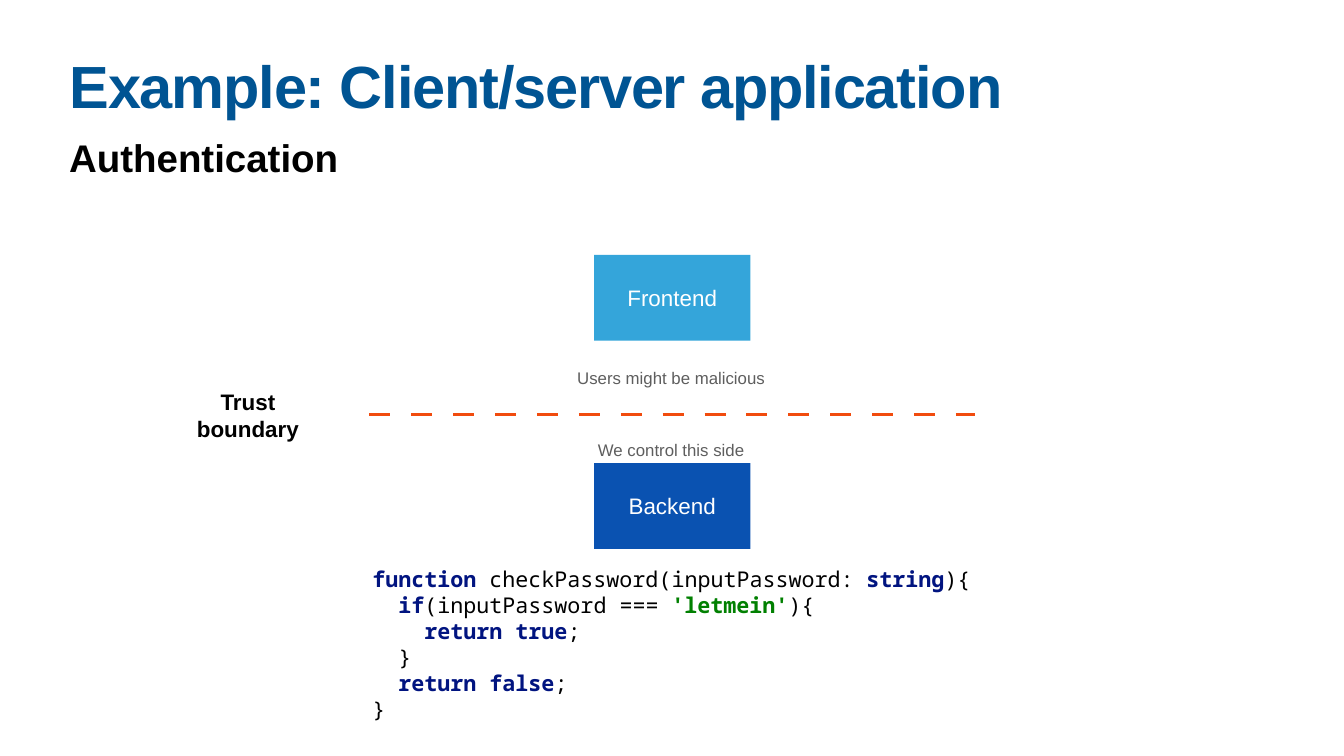
from dataclasses import dataclass

import lxml.etree
import pptx
import pptx.dml.color
import pptx.enum.shapes
import pptx.enum.text
import pptx.oxml.ns
import pptx.util

PX = 9144  # EMU, 100 px to the inch
SANS, MONO = "Arial", "Noto Sans Mono"
COLOURS = {
    "title": "005493",
    "black": "000000",
    "white": "FFFFFF",
    "note": "5E5E5E",
    "frontend": "34A5DA",
    "backend": "0A52B1",
    "boundary": "F14C0E",
    "keyword": "011480",
    "string": "018001",
}
CENTRE = pptx.enum.text.PP_ALIGN.CENTER
LEFT = pptx.enum.text.PP_ALIGN.LEFT
MIDDLE = pptx.enum.text.MSO_ANCHOR.MIDDLE
TOP = pptx.enum.text.MSO_ANCHOR.TOP


@dataclass
class Area:
    left: int
    top: int
    width: int
    height: int

    def emu(self) -> list[int]:
        return [n * PX for n in (self.left, self.top, self.width, self.height)]


@dataclass
class Tier:
    name: str
    top: int
    fill: str


@dataclass
class Label:
    text: str
    area: Area
    size: int
    colour: str
    bold: bool = False
    wrap: bool = False


TIERS = [Tier("Frontend", 506, "frontend"), Tier("Backend", 919, "backend")]
LABELS = [
    Label("Trust boundary", Area(362, 769, 260, 108), 32, "black", True, True),
    Label("We control this side", Area(1179, 868, 305, 50), 24, "note"),
    Label("Users might be malicious", Area(1137, 725, 389, 50), 24, "note"),
]
# Each line of code is a list of (text, colour); coloured words are bold.
CODE = [
    [("function ", "keyword"), ("checkPassword(inputPassword: ", "black"),
     ("string", "keyword"), ("){", "black")],
    [("  ", "black"), ("if", "keyword"), ("(inputPassword === ", "black"),
     ("'letmein'", "string"), ("){", "black")],
    [("    ", "black"), ("return true", "keyword"), (";", "black")],
    [("  }", "black")],
    [("  ", "black"), ("return false", "keyword"), (";", "black")],
    [("}", "black")],
]


def rgb(name: str) -> pptx.dml.color.RGBColor:
    return pptx.dml.color.RGBColor.from_string(COLOURS[name])


def set_font(font, size: int, colour: str, bold: bool = False, face: str = SANS) -> None:
    font.name, font.size, font.bold = face, pptx.util.Pt(size), bold
    font.color.rgb = rgb(colour)


def set_frame(frame, anchor=MIDDLE, wrap: bool = True, inset: int = 6) -> None:
    frame.word_wrap = wrap
    frame.auto_size = pptx.enum.text.MSO_AUTO_SIZE.NONE
    frame.vertical_anchor = anchor
    frame.margin_left = frame.margin_right = inset * PX
    frame.margin_top = frame.margin_bottom = inset * PX


def write(box, text: str, size: int, colour: str, bold: bool = False, align=CENTRE):
    """Fill a box with one formatted paragraph and return it."""
    box.text_frame.text = text
    para = box.text_frame.paragraphs[0]
    para.alignment = align
    set_font(para.runs[0].font, size, colour, bold)
    return para


def place(box, area: Area) -> None:
    box.left, box.top, box.width, box.height = area.emu()


def fill_headings(page) -> None:
    title, body = page.shapes.title, page.placeholders[1]
    place(title, Area(132, 118, 2403, 157))
    set_frame(title.text_frame, TOP)
    para = write(title, "Example: Client/server application", 85, "title", True, LEFT)
    para.line_spacing = 0.8
    para.runs[0].font._element.set("spc", "-170")

    place(body, Area(132, 260, 2403, 102))
    set_frame(body.text_frame, TOP, inset=5)
    para = write(body, "Authentication", 55, "black", True, LEFT)
    para.space_before = pptx.util.Pt(0)
    properties = para._p.get_or_add_pPr()
    properties.set("marL", "0")
    properties.set("indent", "0")
    lxml.etree.SubElement(properties, pptx.oxml.ns.qn("a:buNone"))


def add_tier(page, tier: Tier) -> None:
    box = page.shapes.add_shape(pptx.enum.shapes.MSO_SHAPE.RECTANGLE,
                                *Area(1179, tier.top, 310, 170).emu())
    box.shadow.inherit = False
    box.fill.solid()
    box.fill.fore_color.rgb = rgb(tier.fill)
    box.line.fill.background()
    set_frame(box.text_frame)
    write(box, tier.name, 32, "white")


def add_label(page, label: Label) -> None:
    box = page.shapes.add_textbox(*label.area.emu())
    set_frame(box.text_frame, wrap=label.wrap)
    write(box, label.text, label.size, label.colour, label.bold)


def add_boundary(page) -> None:
    line = page.shapes.add_connector(pptx.enum.shapes.MSO_CONNECTOR.STRAIGHT,
                                     733 * PX, 822 * PX, 1934 * PX, 822 * PX)
    line.line.color.rgb = rgb("boundary")
    line.line.width = pptx.util.Pt(5)
    qn = pptx.oxml.ns.qn
    dashes = lxml.etree.SubElement(line.line._get_or_add_ln(), qn("a:custDash"))
    lxml.etree.SubElement(dashes, qn("a:ds"), d="600000", sp="600000")
    lxml.etree.SubElement(line._element.spPr, qn("a:effectLst"))


def add_code(page) -> None:
    box = page.shapes.add_textbox(*Area(733, 1118, 1201, 319).emu())
    frame = box.text_frame
    set_frame(frame, wrap=False)
    for number, spans in enumerate(CODE):
        para = frame.add_paragraph() if number else frame.paragraphs[0]
        for text, colour in spans:
            span = para.add_run()
            span.text = text
            set_font(span.font, 31, colour, colour != "black", MONO)


def main() -> None:
    deck = pptx.Presentation()
    deck.slide_width, deck.slide_height = 2667 * PX, 1500 * PX
    page = deck.slides.add_slide(deck.slide_layouts[1])
    fill_headings(page)
    add_code(page)
    for tier in TIERS:
        add_tier(page, tier)
    add_boundary(page)
    for label in LABELS:
        add_label(page, label)
    deck.save("out.pptx")


if __name__ == "__main__":
    main()
